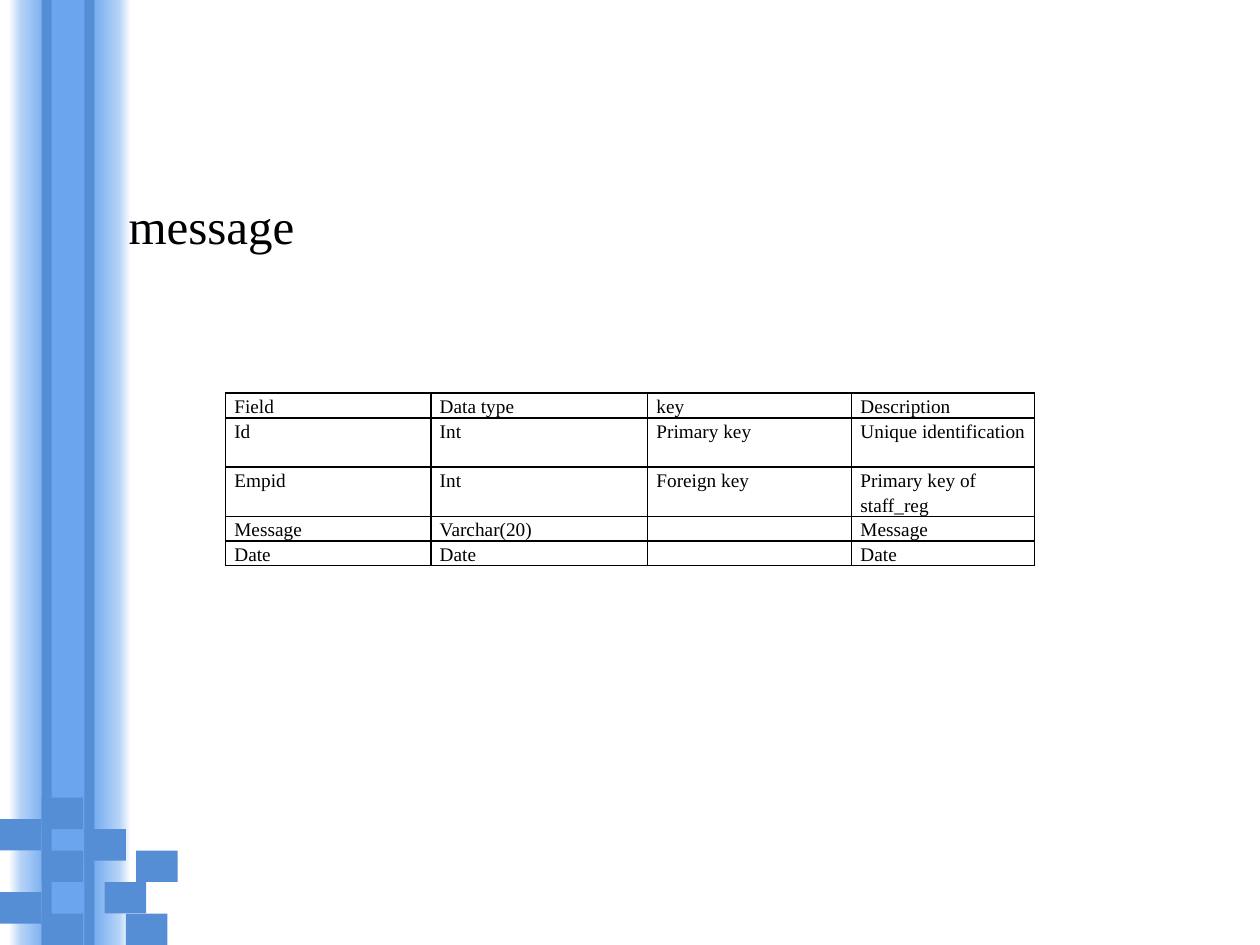
from lxml import etree
from pptx import Presentation
from pptx.dml.color import RGBColor
from pptx.enum.shapes import MSO_SHAPE as Shape
from pptx.enum.text import MSO_ANCHOR as Anchor, PP_ALIGN as Align
from pptx.oxml.ns import qn
from pptx.util import Inches, Pt

BLUE = RGBColor(0x55, 0x8E, 0xD5)
SKY = RGBColor(0x6A, 0xA5, 0xEE)
PALE = RGBColor(0xB4, 0xD2, 0xF7)
WHITE = RGBColor(0xFF, 0xFF, 0xFF)
BLACK = RGBColor(0, 0, 0)
FONT = "Times New Roman"

# Stops of the soft band: percent across, colour
STOPS = [(0, WHITE), (10, PALE), (34, SKY), (66, SKY), (90, PALE), (100, WHITE)]
BARS = [0.67, 0.33]
TILES = [(0, 6.5), (0.33, 6.33), (0.67, 6.58), (0.33, 6.75), (0, 7.08),
         (1.08, 6.75), (1, 7.25), (0.33, 7.25), (0.83, 7)]

COLS = [1.63, 1.72, 1.62, 1.45]
LINES = [1, 2, 2, 1, 1]
ROWS = [
    ["Field", "Data type", "key", "Description"],
    ["Id", "Int", "Primary key", "Unique identification"],
    ["Empid", "Int", "Foreign key", "Primary key of staff_reg"],
    ["Message", "Varchar(20)", "", "Message"],
    ["Date", "Date", "", "Date"],
]


def style(item, **form):
    for name, value in form.items():
        setattr(item, name, value)


def set_font(font, size):
    style(font, name=FONT, size=Pt(size))
    font.color.rgb = BLACK


def add_rect(slide, x, y, w, h):
    rect = slide.shapes.add_shape(
        Shape.RECTANGLE, Inches(x), Inches(y), Inches(w), Inches(h))
    rect.shadow.inherit = False
    rect.line.fill.background()
    rect.fill.solid()
    rect.fill.fore_color.rgb = BLUE
    return rect


def fade(rect):
    rect.fill.gradient()
    rect.fill.gradient_angle = 0
    stops = rect._element.spPr.find(".//" + qn("a:gsLst"))
    for stop in list(stops):
        stops.remove(stop)
    for place, color in STOPS:
        stop = etree.SubElement(stops, qn("a:gs"), pos=str(place * 1000))
        etree.SubElement(stop, qn("a:srgbClr"), val=str(color))


def add_side(slide, x, y, h):
    # Soft band, two bars and the scattered tiles
    fade(add_rect(slide, x + 0.07, y, 0.97, h))
    for left in BARS:
        add_rect(slide, x + left, y, 0.08, h)
    for left, top in TILES:
        add_rect(slide, x + left, y + top, 0.33, 0.25)


def add_title(slide, x, y, w, h):
    title = slide.shapes.title
    slide.shapes._spTree.append(title._element)  # in front of the band
    style(title, left=Inches(x), top=Inches(y), width=Inches(w), height=Inches(h))
    frame = title.text_frame
    frame.text = "message"
    style(frame, word_wrap=False, vertical_anchor=Anchor.MIDDLE)
    para = frame.paragraphs[0]
    para.alignment = Align.LEFT
    set_font(para.runs[0].font, 28)


def add_edges(cell):
    props = cell._tc.get_or_add_tcPr()
    for spot, side in enumerate(("a:lnL", "a:lnR", "a:lnT", "a:lnB")):
        line = etree.Element(qn(side), w=str(Pt(1)))
        fill = etree.SubElement(line, qn("a:solidFill"))
        etree.SubElement(fill, qn("a:srgbClr"), val=str(BLACK))
        props.insert(spot, line)


def fill_cell(cell, text):
    style(cell, margin_left=Inches(0.07), margin_right=Inches(0.07),
          margin_top=0, margin_bottom=0)
    cell.fill.background()
    add_edges(cell)
    para = cell.text_frame.paragraphs[0]
    para.line_spacing = 1.15
    if text:
        run = para.add_run()
        run.text = text
        set_font(run.font, 11)
    else:  # keeps an empty cell as low as its row
        para._p.get_or_add_endParaRPr().set("sz", "1100")


def add_grid(slide, x, y, w, h):
    grid = slide.shapes.add_table(
        len(ROWS), len(COLS), Inches(x), Inches(y), Inches(w), Inches(h)).table
    style(grid, first_row=False, horz_banding=False)
    for col, wide in zip(grid.columns, COLS):
        col.width = Inches(wide)
    for row, count, texts in zip(grid.rows, LINES, ROWS):
        row.height = Inches(h * count / sum(LINES))
        for cell, text in zip(row.cells, texts):
            fill_cell(cell, text)


def main():
    deck = Presentation()
    style(deck, slide_width=Inches(10), slide_height=Inches(7.5))
    slide = deck.slides.add_slide(deck.slide_layouts[5])
    add_side(slide, 0, 0, 7.5)
    add_grid(slide, 1.79, 3.12, 6.42, 1.37)
    add_title(slide, 0.92, 1.5, 1.53, 0.57)
    deck.save("out.pptx")


if __name__ == "__main__":
    main()
